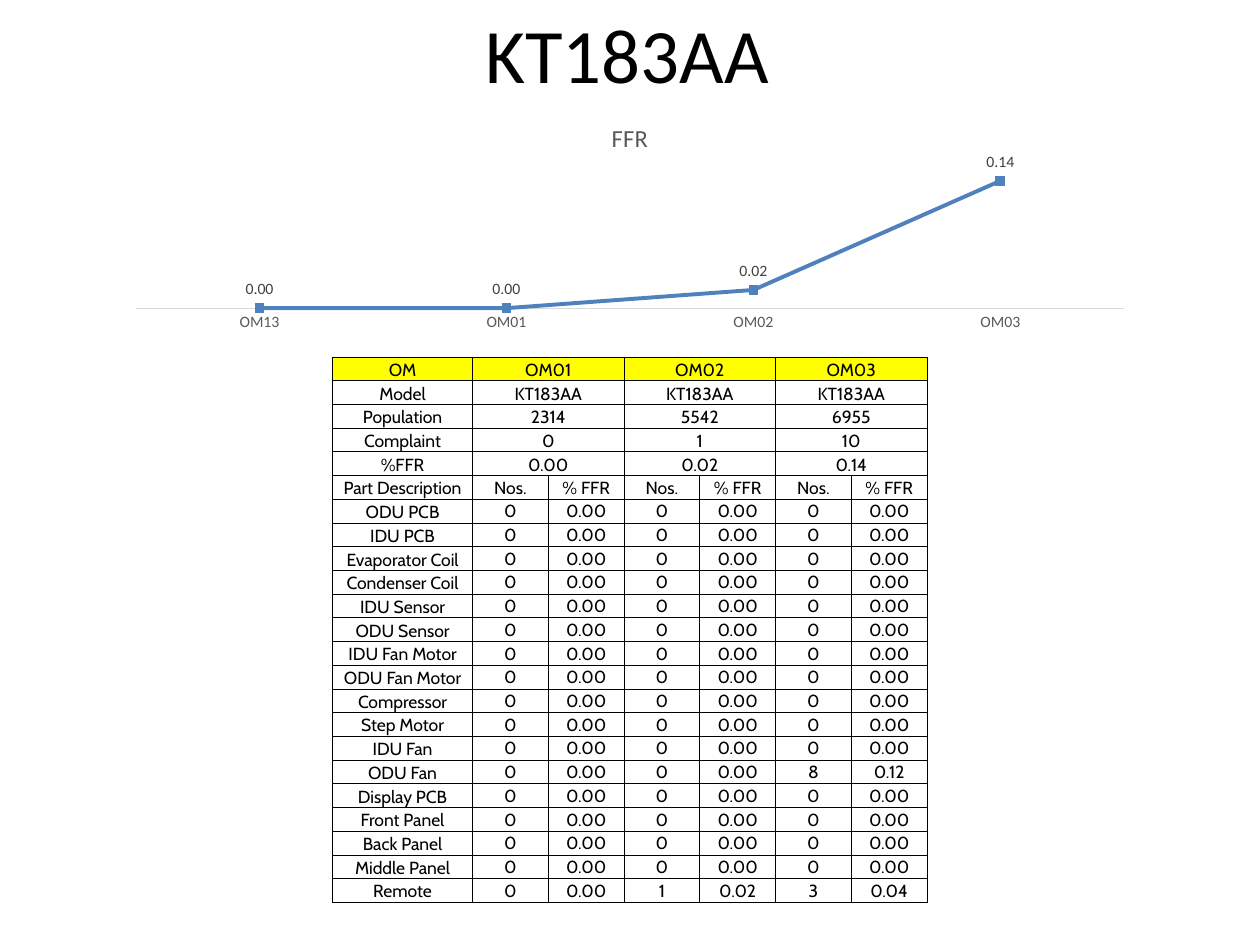
from lxml import etree
from pptx import Presentation
from pptx.chart.data import CategoryChartData
from pptx.dml.color import RGBColor
from pptx.enum.chart import XL_CHART_TYPE, XL_LABEL_POSITION, XL_TICK_MARK
from pptx.enum.text import MSO_ANCHOR, PP_ALIGN
from pptx.oxml import parse_xml
from pptx.oxml.ns import nsdecls, qn
from pptx.util import Pt

CENTER = PP_ALIGN.CENTER
MIDDLE = MSO_ANCHOR.MIDDLE
BOTTOM = MSO_ANCHOR.BOTTOM
LINE = XL_CHART_TYPE.LINE
ABOVE = XL_LABEL_POSITION.ABOVE
NO_TICKS = XL_TICK_MARK.NONE

MODEL = "KT183AA"
CHART_TITLE = "FFR"
TREND = [("OM13", 0), ("OM01", 0), ("OM02", 0.02), ("OM03", 0.14)]
SUMMARY = [
    ("OM", "OM01", "OM02", "OM03"),
    ("Model", MODEL, MODEL, MODEL),
    ("Population", "2314", "5542", "6955"),
    ("Complaint", "0", "1", "10"),
    ("%FFR", "0.00", "0.02", "0.14"),
]
PARTS_HEADER = ["Part Description"] + ["Nos.", "% FFR"] * 3
PARTS = [
    "ODU PCB", "IDU PCB", "Evaporator Coil", "Condenser Coil", "IDU Sensor",
    "ODU Sensor", "IDU Fan Motor", "ODU Fan Motor", "Compressor", "Step Motor",
    "IDU Fan", "ODU Fan", "Display PCB", "Front Panel", "Back Panel",
    "Middle Panel", "Remote",
]
NO_FAULTS = ["0", "0.00"] * 3
FAULTS = {
    "ODU Fan": ["0", "0.00", "0", "0.00", "8", "0.12"],
    "Remote": ["0", "0.00", "1", "0.02", "3", "0.04"],
}
COLUMN_WIDTHS = [80] + [43.3] * 6
ROW_HEIGHT = 13.55
PLOT_AREA = {"x": 0.02, "y": 0.25, "w": 0.96, "h": 0.63}


def color(value):
    return RGBColor.from_string(value)


def style_font(font, name, size, value):
    font.name = name
    font.size = Pt(size)
    font.bold = False
    font.color.rgb = color(value)


def add_title(slide):
    shape = slide.shapes.add_textbox(Pt(34.5), Pt(12), Pt(648), Pt(36))
    frame = shape.text_frame
    frame.word_wrap = True
    frame.vertical_anchor = MIDDLE
    frame.text = MODEL
    paragraph = frame.paragraphs[0]
    paragraph.alignment = CENTER
    style_font(paragraph.runs[0].font, "Calibri", 44, "000000")


def place_plot(chart):
    plot_area = chart._chartSpace.chart.plotArea
    for layout in plot_area.findall(qn("c:layout")):
        plot_area.remove(layout)
    layout = etree.Element(qn("c:layout"))
    manual = etree.SubElement(layout, qn("c:manualLayout"))
    settings = {"layoutTarget": "inner", "xMode": "edge", "yMode": "edge", **PLOT_AREA}
    for tag, value in settings.items():
        etree.SubElement(manual, qn(f"c:{tag}")).set("val", str(value))
    plot_area.insert(0, layout)


def add_trend_chart(slide):
    data = CategoryChartData(number_format="0.00")
    data.categories = [month for month, rate in TREND]
    data.add_series("Series 1", [rate for month, rate in TREND])
    chart = slide.shapes.add_chart(LINE, Pt(66), Pt(60), Pt(588), Pt(132), data).chart
    style_font(chart.font, "Calibri", 10, "000000")
    chart.has_legend = False
    chart.has_title = True
    title = chart.chart_title
    title.include_in_layout = False
    title.text_frame.text = CHART_TITLE
    style_font(title.text_frame.paragraphs[0].runs[0].font, "Calibri", 14, "595959")

    months = chart.category_axis
    months.major_tick_mark = months.minor_tick_mark = NO_TICKS
    months.format.line.color.rgb = color("D9D9D9")
    months.format.line.width = Pt(0.75)
    style_font(months.tick_labels.font, "Calibri", 9, "595959")

    rates = chart.value_axis
    rates.visible = False
    rates.has_major_gridlines = False
    rates.minimum_scale = 0
    rates.maximum_scale = 0.16
    rates.tick_labels.number_format = "0.00"
    rates.tick_labels.number_format_is_linked = False

    plot = chart.plots[0]
    plot.vary_by_categories = False
    series = plot.series[0]
    series.smooth = False
    series.marker.style = None
    series.format.line.color.rgb = color("4F81BD")
    series.format.line.width = Pt(2.25)
    labels = series.data_labels
    labels.show_value = True
    labels.position = ABOVE
    labels.number_format = "0.00"
    labels.number_format_is_linked = False
    style_font(labels.font, "Calibri", 9, "404040")
    place_plot(chart)


def add_borders(cell):
    properties = cell._tc.get_or_add_tcPr()
    for index, side in enumerate("LRTB"):
        border = parse_xml(
            f'<a:ln{side} {nsdecls("a")} w="6350"><a:solidFill>'
            f'<a:srgbClr val="000000"/></a:solidFill></a:ln{side}>'
        )
        properties.insert(index, border)


def write_cell(cell, text, anchor):
    cell.text = text
    cell.vertical_anchor = anchor
    paragraph = cell.text_frame.paragraphs[0]
    paragraph.alignment = CENTER
    style_font(paragraph.runs[0].font, "Cabin", 10, "000000")


def add_parts_table(slide):
    rows = [PARTS_HEADER] + [[part] + FAULTS.get(part, NO_FAULTS) for part in PARTS]
    row_count = len(SUMMARY) + len(rows)
    table = slide.shapes.add_table(
        row_count, len(COLUMN_WIDTHS), Pt(190), Pt(204),
        Pt(sum(COLUMN_WIDTHS)), Pt(ROW_HEIGHT * row_count),
    ).table
    table.first_row = table.horz_banding = False
    for column, width in zip(table.columns, COLUMN_WIDTHS):
        column.width = Pt(width)
    for row in table.rows:
        row.height = Pt(ROW_HEIGHT)
    for cell in table.iter_cells():
        cell.margin_left = cell.margin_right = cell.margin_top = Pt(0.5)
        cell.margin_bottom = 0
        cell.fill.background()
        add_borders(cell)

    for row, (label, *values) in enumerate(SUMMARY):
        write_cell(table.cell(row, 0), label, BOTTOM)
        for index, value in enumerate(values):
            column = 1 + 2 * index
            table.cell(row, column).merge(table.cell(row, column + 1))
            write_cell(table.cell(row, column), value, BOTTOM)
    for cell in table.rows[0].cells:
        cell.fill.solid()
        cell.fill.fore_color.rgb = color("FFFF00")
    for row, values in enumerate(rows, len(SUMMARY)):
        for column, value in enumerate(values):
            anchor = BOTTOM if column == 0 or values is PARTS_HEADER else MIDDLE
            write_cell(table.cell(row, column), value, anchor)


def main():
    presentation = Presentation()
    presentation.slide_width = Pt(720)
    presentation.slide_height = Pt(540)
    slide = presentation.slides.add_slide(presentation.slide_layouts[6])
    add_title(slide)
    add_parts_table(slide)
    add_trend_chart(slide)
    presentation.save("out.pptx")


if __name__ == "__main__":
    main()
